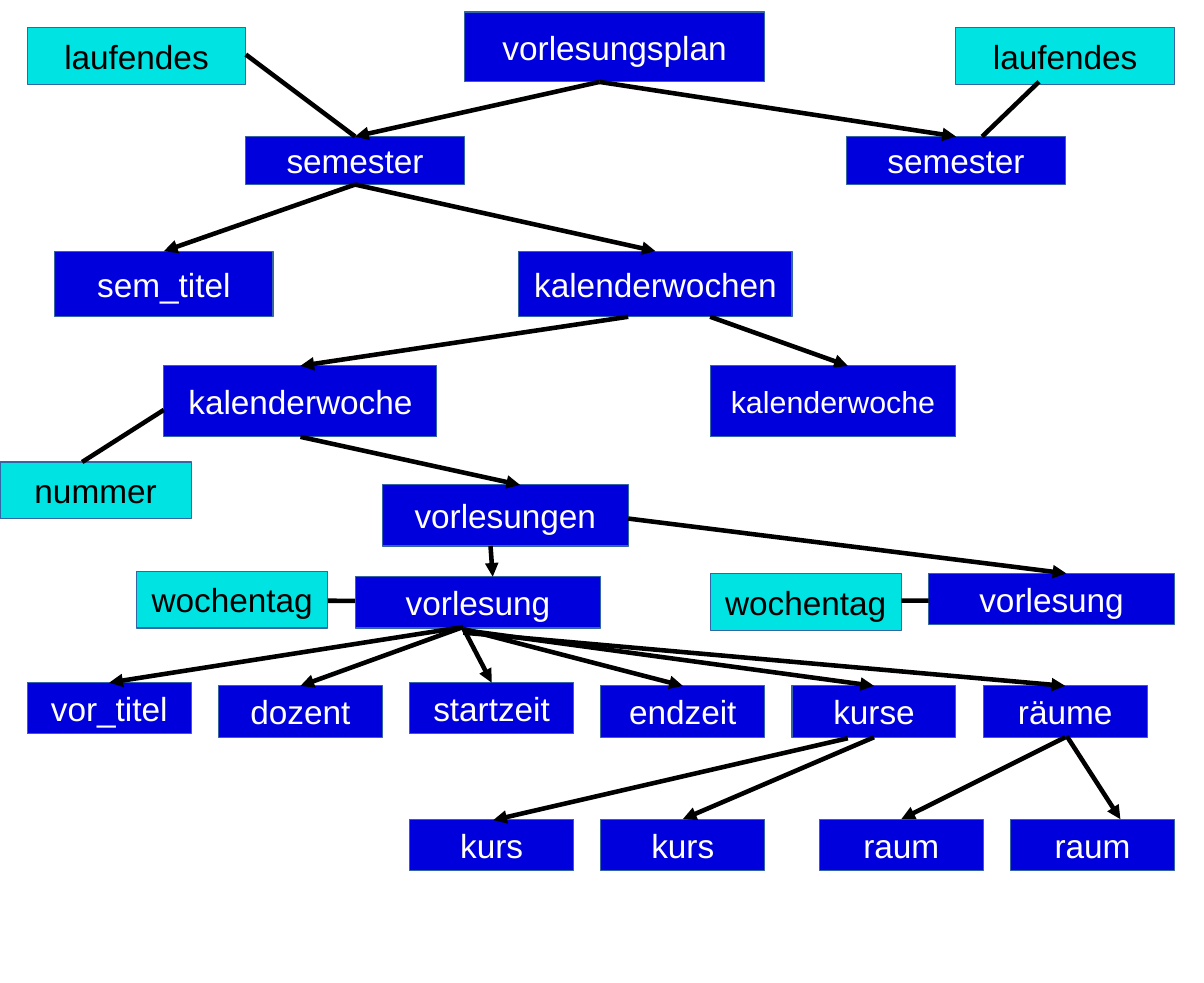
import dataclasses

import lxml.etree
import pptx
import pptx.dml.color
import pptx.enum.shapes
import pptx.enum.text
import pptx.oxml.ns
import pptx.util


@dataclasses.dataclass(frozen=True)
class Theme:
    element: str = "0000DC"
    attribute: str = "00E3E3"
    outline: str = "3465A4"
    element_text: str = "FFFFFF"
    attribute_text: str = "000000"
    arrow: str = "000000"
    font: str = "Arial"
    text_size: int = 22
    small_size: int = 20
    arrow_width: int = 3


THEME = Theme()
WIDTH, HEIGHT = 11.02, 9
COLUMN, ROW = 0.25, 0.1  # grid steps in inches

# Regions as (left, top) in inches. Nodes as
# key: (text, column, row, columns wide, rows high), counted from the region.
PLAN = (0, 0), {
    "plan": ("vorlesungsplan", 17, 1.1, 11, 6.4),
    "semester 1": ("semester", 9, 12.5, 8, 4.4),
    "semester 2": ("semester", 31, 12.5, 8, 4.4),
    "@laufendes 1": ("laufendes", 1, 2.5, 8, 5.2),
    "@laufendes 2": ("laufendes", 35, 2.5, 8, 5.2),
}
WEEKS = (0, 2.3), {
    "sem_titel": ("sem_titel", 2, 0, 8, 6),
    "wochen": ("kalenderwochen", 19, 0, 10, 6),
    "woche 1": ("kalenderwoche", 6, 10.5, 10, 6.5),
    "woche 2": ("kalenderwoche", 26, 10.5, 9, 6.5),
    "@nummer": ("nummer", 0, 19.3, 7, 5.2),
}
LECTURES = (0, 4.44), {
    "vorlesungen": ("vorlesungen", 14, 0, 9, 5.6),
    "vorlesung 1": ("vorlesung", 13, 8.4, 9, 4.7),
    "vorlesung 2": ("vorlesung", 34, 8.1, 9, 4.7),
    "@wochentag 1": ("wochentag", 5, 7.9, 7, 5.2),
    "@wochentag 2": ("wochentag", 26, 8.1, 7, 5.2),
}
DETAIL_NAMES = ["vor_titel", "dozent", "startzeit", "endzeit", "kurse", "räume"]
DETAIL_ROWS = [0, 0.3, 0, 0.3, 0.3, 0.3]
DETAILS = (0, 6.25), {
    name: (name, 1 + 7 * index, row, 6, 4.7)
    for index, (name, row) in enumerate(zip(DETAIL_NAMES, DETAIL_ROWS))
}
ITEMS = (0, 7.5), {
    "kurs 1": ("kurs", 15, 0, 6, 4.7),
    "kurs 2": ("kurs", 22, 0, 6, 4.7),
    "raum 1": ("raum", 30, 0, 6, 4.7),
    "raum 2": ("raum", 37, 0, 6, 4.7),
}
SMALL_NODES = {"woche 2"}

# Links: parent, child, then the end points as shares of each node's box.
TOP = (0.5, 0)
BOTTOM = (0.5, 1)
ARROWS = [
    ("plan", "semester 1", (0.45, 1), TOP),
    ("plan", "semester 2", (0.45, 1), TOP),
    ("semester 1", "sem_titel", BOTTOM, TOP),
    ("semester 1", "wochen", BOTTOM, TOP),
    ("wochen", "woche 1", (0.4, 1), TOP),
    ("wochen", "woche 2", (0.7, 1), (0.56, 0)),
    ("woche 1", "vorlesungen", BOTTOM, (0.56, 0)),
    ("vorlesungen", "vorlesung 1", (0.44, 1), (0.56, 0)),
    ("vorlesungen", "vorlesung 2", (1, 0.55), (0.56, 0)),
    *(("vorlesung 1", name, (0.44, share), TOP)
      for name, share in zip(DETAIL_NAMES, [0.98, 0.98, 1, 1.02, 1.04, 1.09])),
    ("kurse", "kurs 2", BOTTOM, TOP),
    ("kurse", "kurs 1", (0.34, 1.02), (0.51, 0.02)),
    ("räume", "raum 1", BOTTOM, TOP),
    ("räume", "raum 2", (0.51, 0.98), (0.67, 0)),
]
ATTRIBUTE_LINES = [
    ("@laufendes 1", "semester 1", (1, 0.48), TOP),
    ("@laufendes 2", "semester 2", (0.38, 0.96), (0.62, 0)),
    ("woche 1", "@nummer", (0, 0.62), (0.43, 0)),
    ("vorlesung 1", "@wochentag 1", (0, 0.47), (1, 0.52)),
    ("vorlesung 2", "@wochentag 2", (0, 0.53), (1, 0.48)),
]


def color(value):
    return pptx.dml.color.RGBColor.from_string(value)


def draw_node(slide, box, text, is_attribute, size):
    shape = slide.shapes.add_shape(
        pptx.enum.shapes.MSO_SHAPE.RECTANGLE, *map(pptx.util.Inches, box))
    shape.shadow.inherit = False
    shape.fill.solid()
    shape.fill.fore_color.rgb = color(
        THEME.attribute if is_attribute else THEME.element)
    shape.line.color.rgb = color(THEME.outline)
    shape.line.width = pptx.util.Pt(0)
    text_frame = shape.text_frame
    text_frame.text = text
    text_frame.vertical_anchor = pptx.enum.text.MSO_ANCHOR.MIDDLE
    paragraph = text_frame.paragraphs[0]
    paragraph.alignment = pptx.enum.text.PP_ALIGN.CENTER
    font = paragraph.runs[0].font
    font.name = THEME.font
    font.size = pptx.util.Pt(size)
    font.color.rgb = color(
        THEME.attribute_text if is_attribute else THEME.element_text)
    return shape


def draw_region(slide, origin, nodes):
    """Place a region's nodes on the grid; keys starting with @ are attributes."""
    left, top = origin
    shapes = {}
    for key, (text, column, row, columns, rows) in nodes.items():
        box = (left + column * COLUMN, top + row * ROW,
               columns * COLUMN, rows * ROW)
        size = THEME.small_size if key in SMALL_NODES else THEME.text_size
        shapes[key] = draw_node(slide, box, text, key.startswith("@"), size)
    return shapes


def point_on(shape, shares):
    across, down = shares
    return (round(shape.left + across * shape.width),
            round(shape.top + down * shape.height))


def draw_link(slide, start, end, has_arrowhead):
    connector = slide.shapes.add_connector(
        pptx.enum.shapes.MSO_CONNECTOR.STRAIGHT, *start, *end)
    connector.line.color.rgb = color(THEME.arrow)
    connector.line.width = pptx.util.Pt(THEME.arrow_width)
    if has_arrowhead:
        lxml.etree.SubElement(connector.line._get_or_add_ln(),
                              pptx.oxml.ns.qn("a:tailEnd"), type="triangle")
    lxml.etree.SubElement(connector._element.spPr,
                          pptx.oxml.ns.qn("a:effectLst"))


def main():
    presentation = pptx.Presentation()
    presentation.slide_width = pptx.util.Inches(WIDTH)
    presentation.slide_height = pptx.util.Inches(HEIGHT)
    slide = presentation.slides.add_slide(presentation.slide_layouts[6])

    # Tree nodes, region by region
    shapes = {}
    for origin, nodes in (PLAN, WEEKS, LECTURES, DETAILS, ITEMS):
        shapes.update(draw_region(slide, origin, nodes))

    # Arrows to child elements, then plain lines to attributes
    for links, has_arrowhead in ((ARROWS, True), (ATTRIBUTE_LINES, False)):
        for parent, child, leaving, entering in links:
            draw_link(slide, point_on(shapes[parent], leaving),
                      point_on(shapes[child], entering), has_arrowhead)

    presentation.save("out.pptx")


if __name__ == "__main__":
    main()
